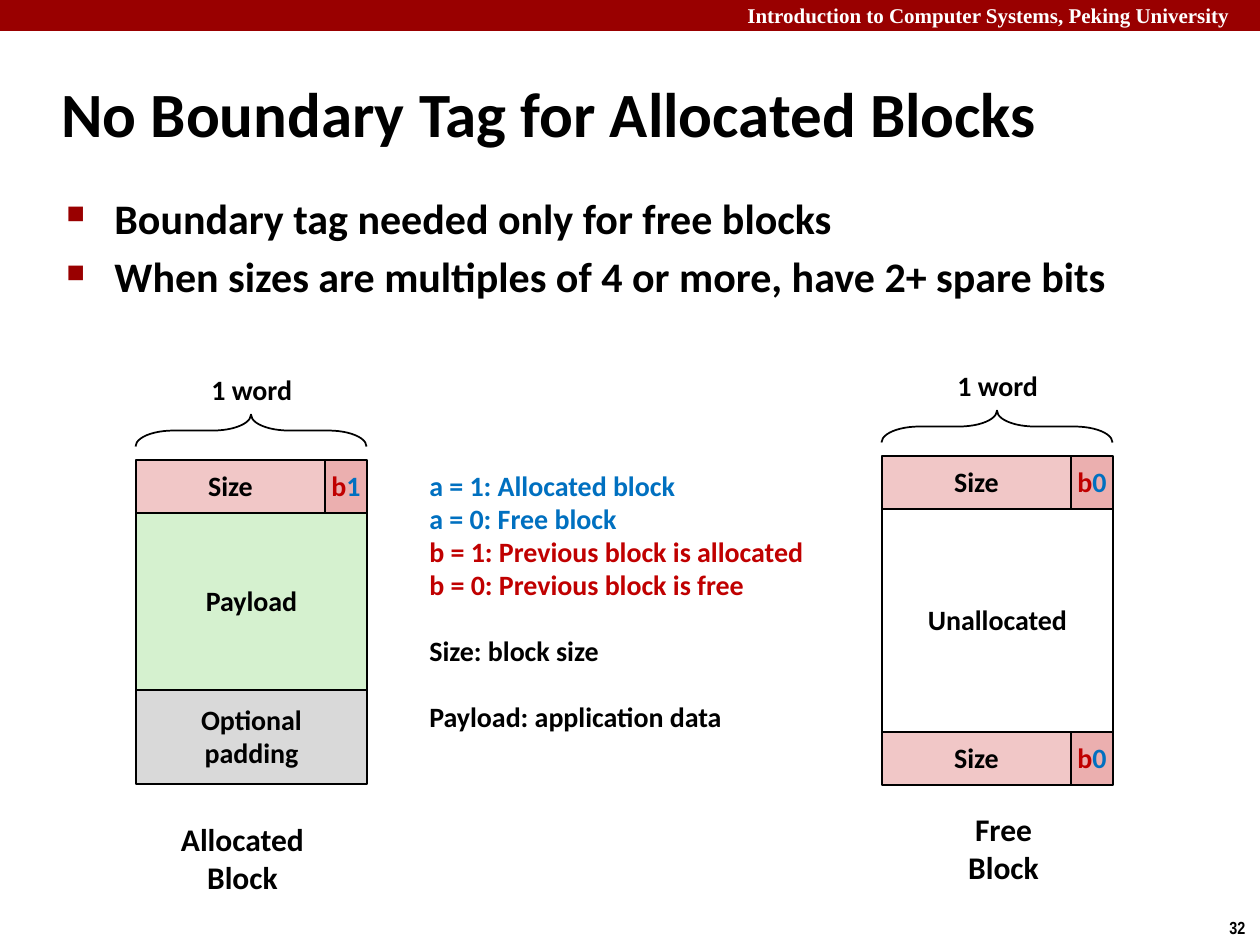
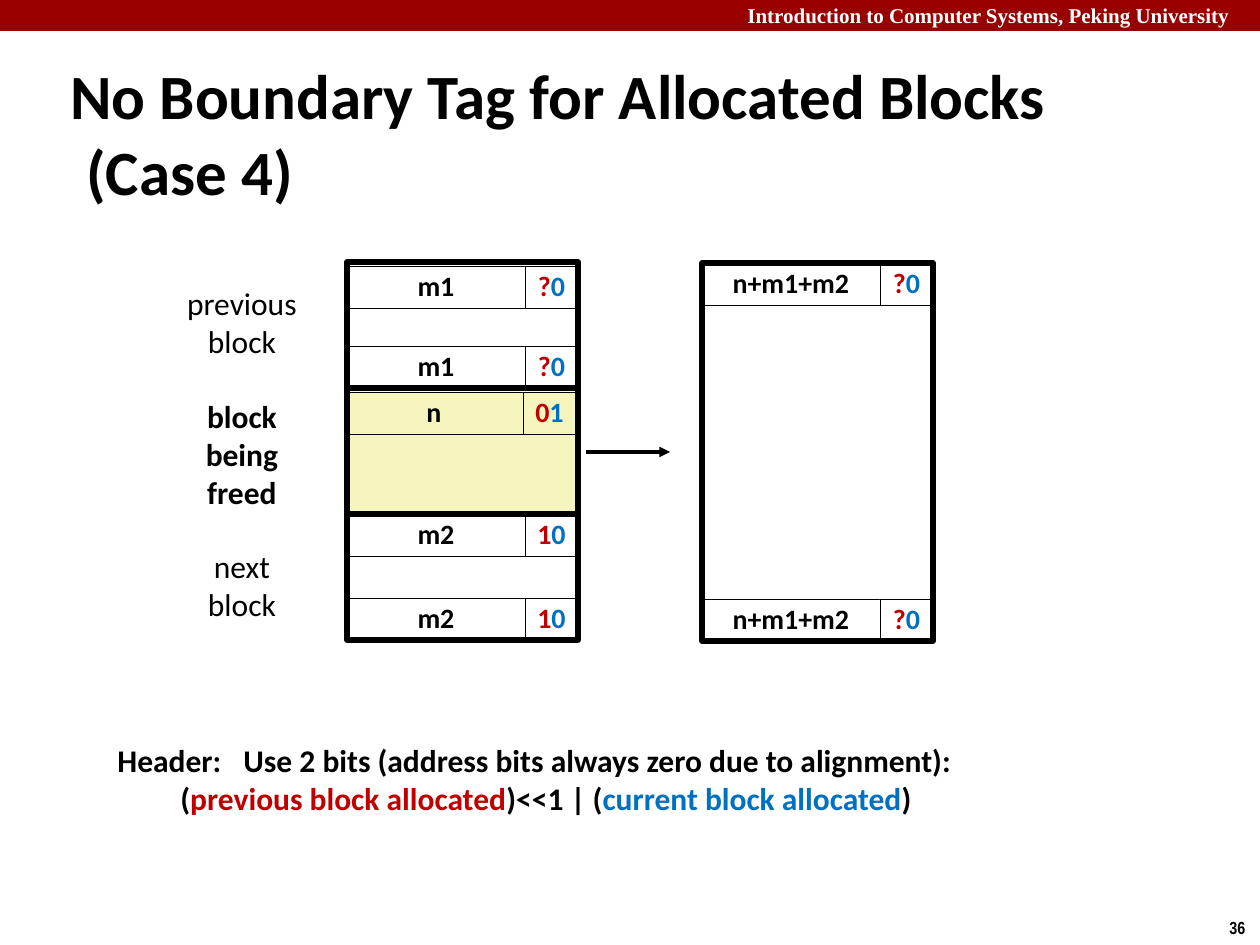
from lxml.etree import SubElement
from pptx import Presentation
from pptx.dml.color import RGBColor
from pptx.enum.shapes import MSO_CONNECTOR, MSO_SHAPE
from pptx.enum.text import MSO_ANCHOR, PP_ALIGN
from pptx.oxml.ns import qn
from pptx.util import Pt

PX = 914400 / 126
BLACK = RGBColor(0x00, 0x00, 0x00)
WHITE = RGBColor(0xFF, 0xFF, 0xFF)
MAROON = RGBColor(0x99, 0x00, 0x00)
RED = RGBColor(0xC0, 0x00, 0x00)
BLUE = RGBColor(0x00, 0x70, 0xC0)
PINK = RGBColor(0xF1, 0xC7, 0xC7)
ROSE = RGBColor(0xEB, 0xAF, 0xAF)
GREEN = RGBColor(0xD5, 0xF1, 0xCF)
GREY = RGBColor(0xD9, 0xD9, 0xD9)
CREAM = RGBColor(0xF6, 0xF5, 0xBD)
TITLE = "No Boundary Tag for Allocated Blocks"
ROW = 42
WORD = 231


def px(*nums):
    return [round(n * PX) for n in nums]


def lines(*texts, color=BLACK):
    return [[(text, color)] for text in texts]


def bits(pair):
    return [[(pair[0], RED), (pair[1], BLUE)]]


def write(frame, paras, size=16, bold=True, align=PP_ALIGN.LEFT,
          font="Calibri", space=1.0):
    for i, runs in enumerate(paras):
        para = frame.add_paragraph() if i else frame.paragraphs[0]
        para.alignment = align
        para.line_spacing = space
        for text, color in runs:
            run = para.add_run()
            run.text = text
            run.font.name = font
            run.font.size = Pt(size)
            run.font.bold = bold
            run.font.color.rgb = color


def label(slide, box, paras, wrap=False, **style):
    frame = slide.shapes.add_textbox(*px(*box)).text_frame
    frame.word_wrap = wrap
    write(frame, paras, **style)
    return frame


def shape(slide, box, fill=None, width=1.0, kind=MSO_SHAPE.RECTANGLE):
    item = slide.shapes.add_shape(kind, *px(*box))
    item.shadow.inherit = False
    if fill is None:
        item.fill.background()
    else:
        item.fill.solid()
        item.fill.fore_color.rgb = fill
    if width:
        item.line.color.rgb = BLACK
        item.line.width = Pt(width)
    else:
        item.line.fill.background()
    return item


def cell(slide, box, paras, fill=None, width=1.0):
    frame = shape(slide, box, fill, width).text_frame
    frame.word_wrap = False
    frame.vertical_anchor = MSO_ANCHOR.MIDDLE
    write(frame, paras, align=PP_ALIGN.CENTER, space=0.98)


def indent(para, left):
    props = para._p.get_or_add_pPr()
    gap = px(left)[0]
    props.set("marL", str(gap))
    props.set("indent", str(-gap))
    return props


def base(deck, page, title, box):
    slide = deck.slides.add_slide(deck.slide_layouts[6])
    shape(slide, (0, 0, 1260, 31), MAROON, 0)
    label(slide, (735, -4, 534, 38),
          lines("Introduction to Computer Systems, Peking University", color=WHITE),
          wrap=True, size=12, font="Times New Roman")
    label(slide, (1217, 911, 43, 34), lines(page), size=10, font="Arial Narrow")
    frame = label(slide, box, lines(title), wrap=True, size=36)
    frame.vertical_anchor = MSO_ANCHOR.MIDDLE
    indent(frame.paragraphs[0], 16)
    return slide


def points(slide, box, texts):
    frame = label(slide, box, lines(*texts), wrap=True, size=24)
    for i, para in enumerate(frame.paragraphs):
        props = indent(para, 48)
        if i:
            para.space_before = Pt(4.8)
        tint = SubElement(props, qn("a:buClr"))
        SubElement(tint, qn("a:srgbClr"), val=str(MAROON))
        SubElement(props, qn("a:buSzPct"), val="60000")
        SubElement(props, qn("a:buChar"), char="■")


def tag(slide, x, y, pair):
    size = 189
    cell(slide, (x, y, size, 53), lines("Size"), PINK)
    cell(slide, (x + size, y, WORD - size, 53), bits(pair), ROSE)


def brace(slide, x, y):
    label(slide, (x + 63, y - 92, 107, 47), lines("1 word"), space=0.98)
    deep = 32
    mid = x + WORD // 2
    item = shape(slide, (mid - deep // 2, y - 30 - WORD // 2, deep, WORD),
                 kind=MSO_SHAPE.RIGHT_BRACE)
    item.rotation = 270
    item.adjustments[0] = 1.19


def layout(slide, x, y, pair, parts, foot=False):
    brace(slide, x, y)
    top = y + 53
    for texts, high, fill in parts:
        cell(slide, (x, top, WORD, high), lines(*texts), fill)
        top += high
    tag(slide, x, y, pair)
    if foot:
        tag(slide, x, top, pair)


def legend(slide, box):
    paras = (lines("a = 1: Allocated block", "a = 0: Free block", color=BLUE)
             + lines("b = 1: Previous block is allocated",
                     "b = 0: Previous block is free", color=RED)
             + lines("Size: block size", "Payload: application data"))
    frame = label(slide, box, paras, space=0.98)
    for para in frame.paragraphs[4:]:
        para.space_before = Pt(19)


def block(slide, box, name, pair, fill=WHITE, drop=0, shift=0, foot=True):
    x, y, w, h = box
    size = 178
    shape(slide, (x, y + ROW, w, h - ROW), fill, 0.25)
    tops = [y + drop] + ([y + h - ROW] if foot else [])
    for top in tops:
        cell(slide, (x + shift, top, size, ROW), lines(name), fill, 0.25)
        cell(slide, (x + shift + size, top, w - size, ROW), bits(pair), fill, 0.25)
    shape(slide, box, width=3)


def arrow(slide, x, y, w):
    line = slide.shapes.add_connector(MSO_CONNECTOR.STRAIGHT, *px(x, y, x + w, y))
    line.line.color.rgb = BLACK
    line.line.width = Pt(2)
    SubElement(line.line._get_or_add_ln(), qn("a:tailEnd"), type="triangle")
    SubElement(line._element.spPr, qn("a:effectLst"))


def format_slide(deck):
    slide = base(deck, "32", TITLE, (49, 60, 1046, 105))
    points(slide, (54, 186, 1163, 123),
           ["Boundary tag needed only for free blocks",
            "When sizes are multiples of 4 or more, have 2+ spare bits"])
    layout(slide, 136, 460, "b1",
           [(["Payload"], 177, GREEN), (["Optional", "padding"], 94, GREY)])
    layout(slide, 882, 456, "b0", [(["Unallocated"], 223, None)], foot=True)
    legend(slide, (417, 464, 404, 278))
    for box, name in [((168, 814, 149, 89), "Allocated"), ((955, 804, 97, 89), "Free")]:
        label(slide, box, lines(name, "Block"), size=18, align=PP_ALIGN.CENTER)


def case_slide(deck):
    slide = base(deck, "36", TITLE + " (Case 4)", (58, 93, 1144, 79))
    for y, h, words, bold in [(278, 89, ["previous", "block"], False),
                              (391, 127, ["block", "being", "freed"], True),
                              (541, 89, ["next", "block"], False)]:
        label(slide, (172, y, 140, h), lines(*words), size=18, bold=bold,
              align=PP_ALIGN.CENTER)
    x, y, h = 347, 262, 126
    block(slide, (x, y + h, WORD, h), "n", "01", CREAM, drop=4, shift=-2, foot=False)
    block(slide, (x, y + 2 * h, WORD, h), "m2", "10")
    block(slide, (x, y, WORD, h), "m1", "?0", drop=4)
    arrow(slide, 586, 452, 84)
    block(slide, (702, y + 1, WORD, 3 * h), "n+m1+m2", "?0")
    label(slide, (105, 735, 890, 89),
          [[("Header:\tUse 2 bits (address bits always zero due to alignment):", BLACK)],
           [("\t(", BLACK), ("previous block allocated", RED), (")<<1 | (", BLACK),
            ("current block allocated", BLUE), (")", BLACK)]], size=18)


def main():
    deck = Presentation()
    deck.slide_width, deck.slide_height = px(1260, 945)
    format_slide(deck)
    case_slide(deck)
    deck.save("out.pptx")


if __name__ == "__main__":
    main()
